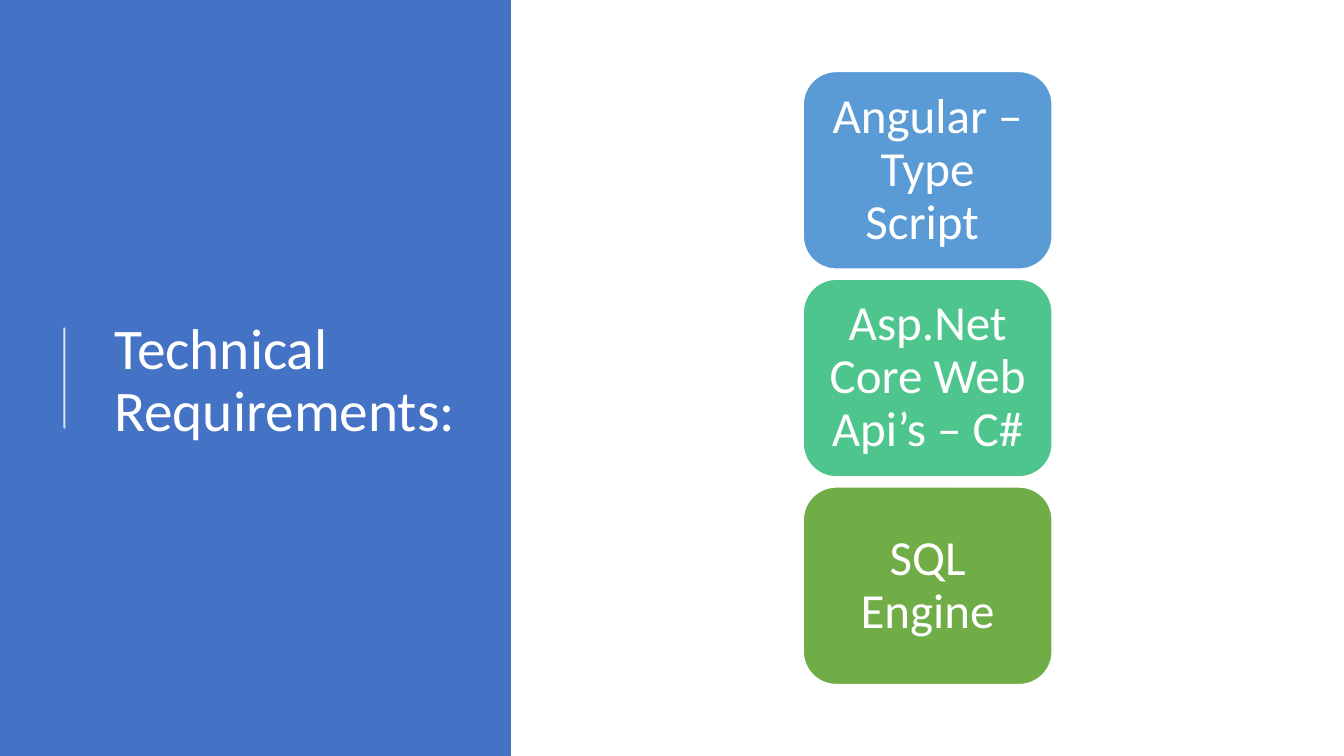
import pptx
import pptx.util
import pptx.dml.color
import pptx.enum.shapes
import pptx.enum.text
import pptx.oxml
import pptx.oxml.ns

Pt = pptx.util.Pt
RGBColor = pptx.dml.color.RGBColor
MSO_SHAPE = pptx.enum.shapes.MSO_SHAPE
PP_ALIGN = pptx.enum.text.PP_ALIGN

WHITE = RGBColor(0xFF, 0xFF, 0xFF)
PANEL_BLUE = RGBColor(0x44, 0x72, 0xC4)
SKY = RGBColor(0x5B, 0x9B, 0xD5)
MINT = RGBColor(0x4D, 0xC5, 0x8D)
GREEN = RGBColor(0x70, 0xAD, 0x47)

TITLE = "Technical Requirements:"
REQUIREMENTS = [
    ("Angular – Type Script ", SKY),
    ("Asp.Net Core Web Api’s – C#", MINT),
    ("SQL Engine", GREEN),
]

SLIDE_W, SLIDE_H = 960, 540
PANEL_W = 365
CARD_LEFT, CARD_TOP, CARD_W, CARD_H, CARD_GAP = 573.8, 51.1, 177.8, 141.1, 7.3


def write_text(sp, text, size, align, inset_x, inset_y):
    """Put white, vertically centred Calibri text in a shape."""
    tf = sp.text_frame
    tf.word_wrap = True
    tf.vertical_anchor = pptx.enum.text.MSO_ANCHOR.MIDDLE
    tf.margin_left = tf.margin_right = Pt(inset_x)
    tf.margin_top = tf.margin_bottom = Pt(inset_y)
    tf.text = text
    p = tf.paragraphs[0]
    p.alignment = align
    p.line_spacing = 0.9
    font = p.runs[0].font
    font.name = "Calibri"
    font.size = Pt(size)
    font.color.rgb = WHITE


def add_block(s, kind, left, top, width, height, fill):
    """Add a filled shape without shadow or outline."""
    sp = s.shapes.add_shape(kind, Pt(left), Pt(top), Pt(width), Pt(height))
    sp.shadow.inherit = False
    sp.fill.solid()
    sp.fill.fore_color.rgb = fill
    sp.line.fill.background()
    return sp


def add_accent_line(s, x, top, bottom):
    """Add the translucent vertical line beside the title."""
    line = s.shapes.add_connector(
        pptx.enum.shapes.MSO_CONNECTOR.STRAIGHT, Pt(x), Pt(bottom), Pt(x), Pt(top))
    line.line.color.rgb = WHITE
    line.line.width = Pt(1.5)
    sp_pr = line._element.spPr
    color = sp_pr.find(".//" + pptx.oxml.ns.qn("a:srgbClr"))
    ns = pptx.oxml.ns.nsdecls("a")
    color.append(pptx.oxml.parse_xml(f'<a:alpha {ns} val="80000"/>'))
    sp_pr.append(pptx.oxml.parse_xml(f"<a:effectLst {ns}/>"))


prs = pptx.Presentation()
prs.slide_width, prs.slide_height = Pt(SLIDE_W), Pt(SLIDE_H)
s = prs.slides.add_slide(prs.slide_layouts[6])

add_block(s, MSO_SHAPE.RECTANGLE, 0, 0, PANEL_W, SLIDE_H, PANEL_BLUE)
title = s.shapes.add_textbox(Pt(74.5), Pt(56), Pt(265.5), Pt(433.5))
write_text(title, TITLE, 41, PP_ALIGN.LEFT, 7.2, 3.6)
add_accent_line(s, 46, 234, 306)

for i, (text, fill) in enumerate(REQUIREMENTS):
    top = CARD_TOP + i * (CARD_H + CARD_GAP)
    card = add_block(s, MSO_SHAPE.ROUNDED_RECTANGLE, CARD_LEFT, top, CARD_W, CARD_H, fill)
    card.line.color.rgb = WHITE
    card.line.width = Pt(1)
    write_text(card, text, 35, PP_ALIGN.CENTER, 10.5, 5.25)

prs.save("out.pptx")
